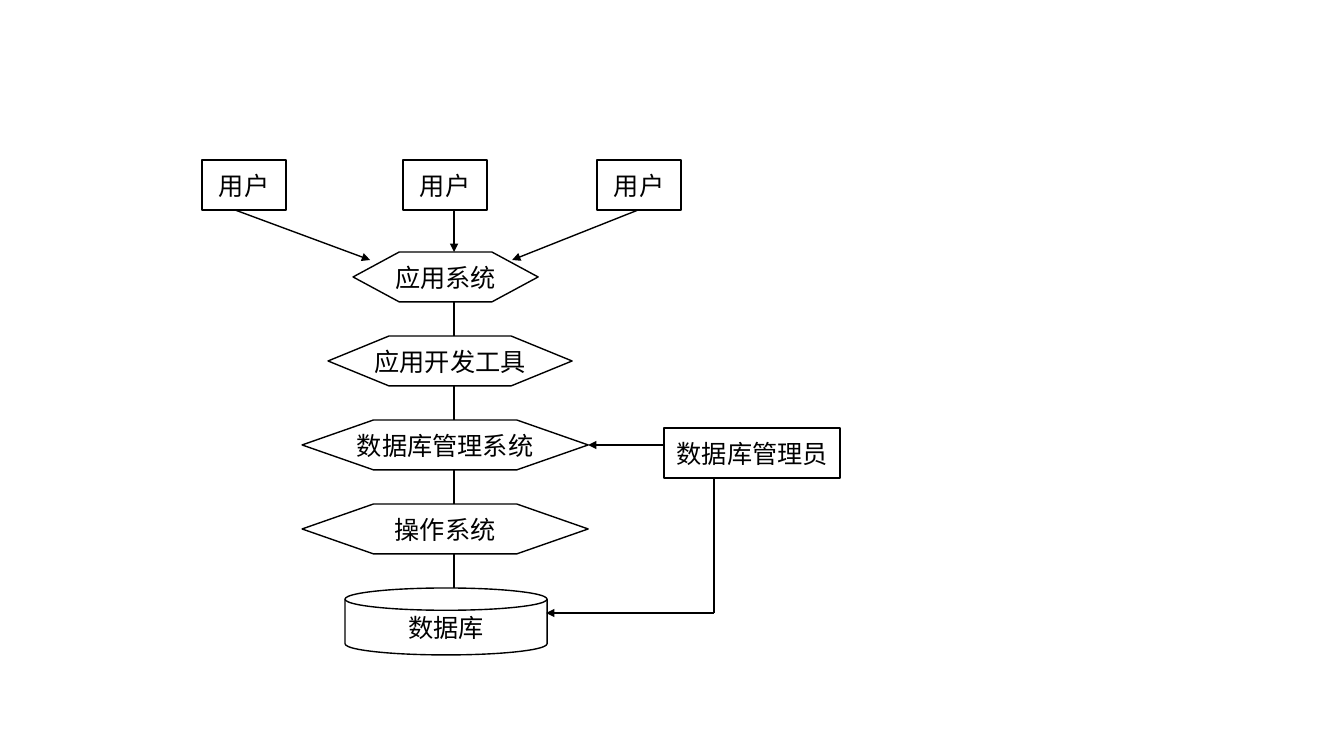
from pptx import Presentation
from pptx.dml.color import RGBColor
from pptx.enum.shapes import MSO_CONNECTOR, MSO_SHAPE
from pptx.enum.text import MSO_ANCHOR, PP_ALIGN
from pptx.oxml.ns import qn
from pptx.util import Emu, Inches, Pt
from lxml import etree

RECTANGLE = MSO_SHAPE.RECTANGLE
HEXAGON = MSO_SHAPE.HEXAGON
DISK = MSO_SHAPE.FLOWCHART_MAGNETIC_DISK
STRAIGHT = MSO_CONNECTOR.STRAIGHT
MIDDLE = MSO_ANCHOR.MIDDLE
CENTER = PP_ALIGN.CENTER

THEME = {"ink": RGBColor(0, 0, 0), "font": "Arial", "size": Pt(18), "line": Pt(1)}
PIXEL = Inches(1) / 100.8

presentation = Presentation()
presentation.slide_width = Inches(13.33)
presentation.slide_height = Inches(7.5)
slide = presentation.slides.add_slide(presentation.slide_layouts[6])


def add_box(kind, text, left, top, width, height):
    lengths = [Emu(round(value * PIXEL)) for value in (left, top, width, height)]
    shape = slide.shapes.add_shape(kind, *lengths)
    shape.shadow.inherit = False
    shape.fill.background()
    shape.line.color.rgb = THEME["ink"]
    shape.line.width = THEME["line"]
    frame = shape.text_frame
    frame.word_wrap = False
    frame.vertical_anchor = MIDDLE
    frame.text = text
    paragraph = frame.paragraphs[0]
    paragraph.alignment = CENTER
    paragraph.font.name = THEME["font"]
    paragraph.font.size = THEME["size"]
    paragraph.font.color.rgb = THEME["ink"]
    return shape


def add_line(start, end, arrow=False):
    points = [Emu(round(value * PIXEL)) for value in (*start, *end)]
    connector = slide.shapes.add_connector(STRAIGHT, *points)
    connector.line.color.rgb = THEME["ink"]
    connector.line.width = THEME["line"]
    properties = connector._element.spPr
    if arrow:
        etree.SubElement(properties.find(qn("a:ln")), qn("a:tailEnd"), type="triangle")
    etree.SubElement(properties, qn("a:effectLst"))


BOX_HEIGHT = 50
USER_TOP = 160
LAYER_TOP = 252
LAYER_STEP = 84
AXIS = 454

for user_left in (202, 403, 597):
    add_box(RECTANGLE, "用户", user_left, USER_TOP, 84, BOX_HEIGHT)

layers = [
    ("应用系统", 353, 185),
    ("应用开发工具", 328, 244),
    ("数据库管理系统", 302, 286),
    ("操作系统", 302, 286),
]
for index, (name, left, width) in enumerate(layers):
    top = LAYER_TOP + index * LAYER_STEP
    hexagon = add_box(HEXAGON, name, left, top, width, BOX_HEIGHT)
    hexagon.adjustments[0] = width / BOX_HEIGHT / 4
    add_line((AXIS, top + BOX_HEIGHT), (AXIS, top + LAYER_STEP))

database_top = LAYER_TOP + len(layers) * LAYER_STEP
add_box(DISK, "数据库", 345, database_top, 202, 67)
add_box(RECTANGLE, "数据库管理员", 664, 428, 176, BOX_HEIGHT)

user_bottom = USER_TOP + BOX_HEIGHT
for start_x, end in ((235, (370, 260)), (AXIS, (AXIS, LAYER_TOP)), (638, (512, 260))):
    add_line((start_x, user_bottom), end, arrow=True)

add_line((664, 445), (588, 445), arrow=True)
add_line((714, 478), (714, 613))
add_line((714, 613), (546, 613), arrow=True)

presentation.save("out.pptx")
